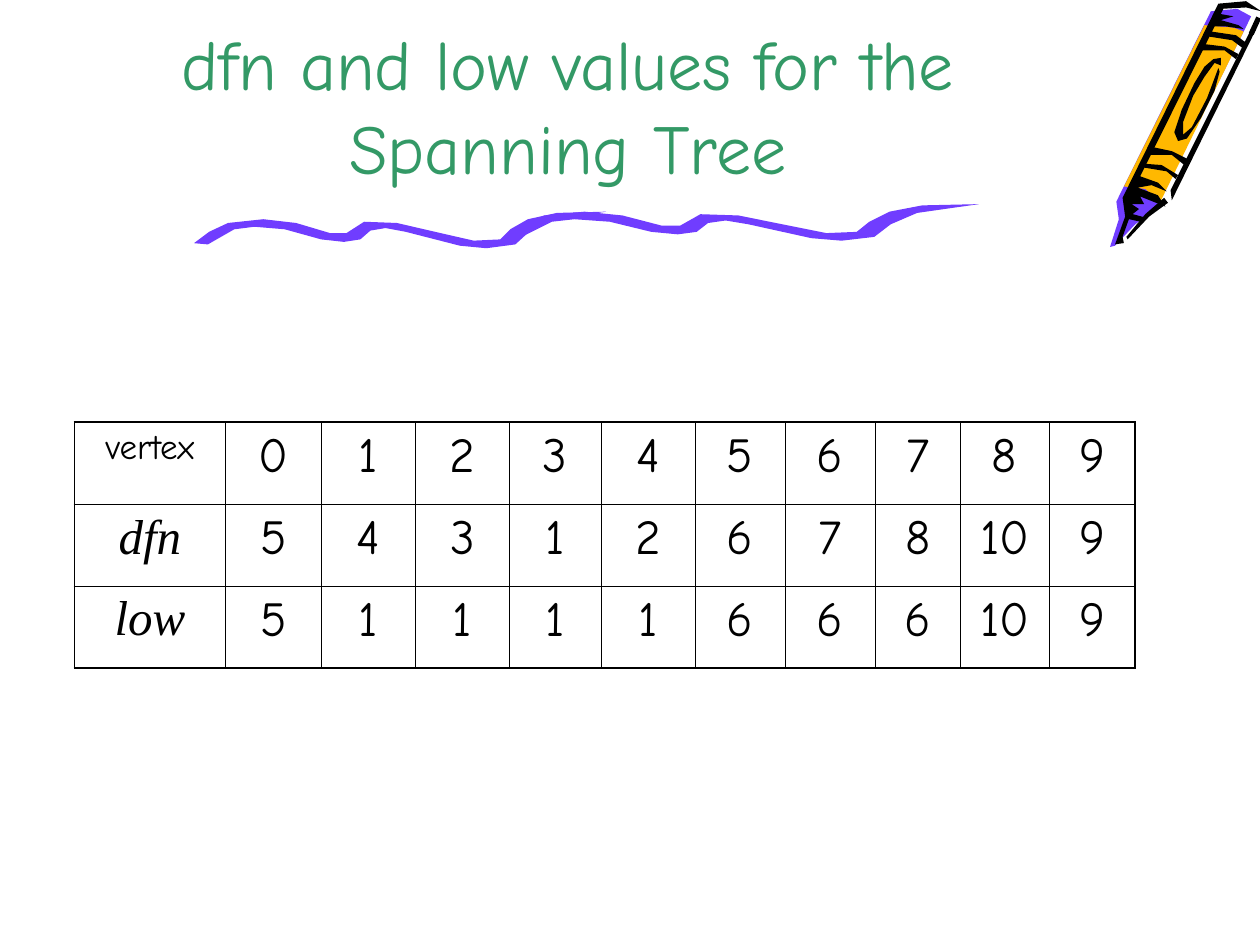
from lxml.etree import SubElement
from pptx import Presentation
from pptx.dml.color import RGBColor
from pptx.enum.shapes import MSO_CONNECTOR
from pptx.enum.text import MSO_ANCHOR, MSO_AUTO_SIZE, PP_ALIGN
from pptx.oxml import parse_xml
from pptx.oxml.ns import nsdecls, qn
from pptx.util import Pt

HEADING = "dfn and low values for the Spanning Tree"
VALUES = [
    ("vertex", 0, 1, 2, 3, 4, 5, 6, 7, 8, 9),
    ("dfn", 5, 4, 3, 1, 2, 6, 7, 8, 10, 9),
    ("low", 5, 1, 1, 1, 1, 6, 6, 6, 10, 9),
]
COLUMN_WIDTHS = [86.4, 54.7, 54, 53.3, 52.6, 54, 51.1, 51.8, 48.2, 51.1, 49]
ROW_HEIGHT = 46.8
THIN, THICK = 0.45, 1.08
BODY_FONT, LABEL_FONT = "Comic Neue", "Times New Roman"
BLACK, GREEN, PURPLE, ORANGE = "000000", "339966", "703DFF", "FFB800"

GRID = 0.72
CRAYON = [
    (PURPLE, [(993, 13), (917, 166), (901, 178), (885, 195), (881, 196), (888, 174),
              (886, 160), (961, 9), (982, 7)]),
    (ORANGE, [(921, 160), (909, 150), (892, 148), (956, 20), (979, 22), (987, 25)]),
    (BLACK, [(927, 161), (912, 172), (895, 190), (894, 188), (909, 170), (924, 157)]),
    (BLACK, [(987, 23), (973, 21), (961, 21), (968, 11), (979, 13), (969, 16), (983, 20)]),
    (BLACK, [(968, 57), (964, 72), (953, 94), (942, 110), (935, 112), (932, 105),
             (938, 87), (948, 66), (956, 53), (963, 47), (969, 46), (969, 52), (964, 50),
             (956, 61), (947, 76), (939, 97), (939, 107), (946, 101), (958, 78), (967, 54)]),
    (BLACK, [(997, 23), (930, 159), (929, 151), (993, 23)]),
    (BLACK, [(925, 164), (919, 155), (903, 149), (914, 147), (926, 152), (919, 145),
             (905, 140), (971, 7), (989, 6), (1001, 9), (989, 1), (967, 3), (891, 157),
             (893, 172), (885, 194), (892, 193), (891, 188), (896, 174), (905, 176),
             (910, 173), (899, 170), (904, 166), (898, 162), (908, 162), (905, 156)]),
    (BLACK, [(933, 142), (926, 136), (908, 133), (909, 130), (922, 131), (935, 139)]),
    (BLACK, [(940, 131), (930, 123), (913, 123), (916, 117), (930, 120), (942, 126)]),
    (BLACK, [(981, 47), (972, 40), (953, 40), (956, 35), (972, 37), (983, 43)]),
    (BLACK, [(986, 38), (978, 32), (959, 29), (961, 25), (981, 28), (989, 34)]),
]
CRAYON_EDGE = [(999, 14), (993, 27)]
WAVE = [
    (165, 194), (186, 182), (202, 180), (226, 182), (255, 190), (273, 192), (286, 190),
    (294, 183), (306, 181), (322, 184), (365, 195), (386, 197), (409, 194), (420, 184),
    (438, 175), (481, 168), (442, 169), (419, 174), (405, 182), (397, 190), (376, 191),
    (354, 186), (315, 177), (289, 176), (275, 185), (262, 185), (235, 177), (209, 174),
    (181, 177), (166, 184), (154, 193),
]
WAVE_LEFT = 154
WAVE_COPIES = [(154, 0, 1), (401, -6, 1.15)]


def color(hex_value):
    return RGBColor.from_string(hex_value)


def format_text(paragraph, font_name, size, hex_value, italic=False):
    paragraph.alignment = PP_ALIGN.CENTER
    for run in paragraph.runs:
        run.font.name = font_name
        run.font.size = Pt(size)
        run.font.italic = italic
        run.font.color.rgb = color(hex_value)


def draw_outline(group, points, hex_value):
    builder = group.shapes.build_freeform(*points[0], scale=Pt(GRID))
    builder.add_line_segments(points[1:], close=True)
    outline = builder.convert_to_shape()
    outline.shadow.inherit = False
    outline.fill.solid()
    outline.fill.fore_color.rgb = color(hex_value)
    outline.line.fill.background()


def draw_crayon(slide):
    crayon = slide.shapes.add_group_shape()
    for hex_value, points in CRAYON:
        draw_outline(crayon, points, hex_value)
    ends = [Pt(value * GRID) for point in CRAYON_EDGE for value in point]
    edge = crayon.shapes.add_connector(MSO_CONNECTOR.STRAIGHT, *ends)
    edge.line.color.rgb = color(BLACK)
    edge.line.width = Pt(3)
    SubElement(edge._element.spPr, qn("a:effectLst"))


def draw_waves(slide):
    waves = slide.shapes.add_group_shape()
    for left, drop, stretch in WAVE_COPIES:
        points = [(round(left + (x - WAVE_LEFT) * stretch), y + drop) for x, y in WAVE]
        draw_outline(waves, points, PURPLE)


def set_borders(cell, widths):
    properties = cell._tc.get_or_add_tcPr()
    for position, (side, width) in enumerate(widths.items()):
        properties.insert(position, parse_xml(
            f'<a:ln{side} {nsdecls("a")} w="{Pt(width)}"><a:solidFill>'
            f'<a:srgbClr val="{BLACK}"/></a:solidFill></a:ln{side}>'))


def add_values(slide):
    row_count, column_count = len(VALUES), len(COLUMN_WIDTHS)
    table = slide.shapes.add_table(
        row_count, column_count, Pt(42.5), Pt(241.2),
        Pt(sum(COLUMN_WIDTHS)), Pt(ROW_HEIGHT * row_count)).table
    table.first_row = table.horz_banding = False
    for column, width in zip(table.columns, COLUMN_WIDTHS):
        column.width = Pt(width)
    for r, entries in enumerate(VALUES):
        table.rows[r].height = Pt(ROW_HEIGHT)
        for c, entry in enumerate(entries):
            cell = table.cell(r, c)
            cell.text_frame.text = str(entry)
            is_label = c == 0 and r > 0
            format_text(cell.text_frame.paragraphs[0],
                        LABEL_FONT if is_label else BODY_FONT,
                        20 if entry == "vertex" else 28, BLACK, is_label)
            cell.fill.background()
            set_borders(cell, {
                "L": THICK if c == 0 else THIN,
                "R": THICK if c == column_count - 1 else THIN,
                "T": THICK if r == 0 else THIN,
                "B": THICK if r == row_count - 1 else THIN,
            })


def add_heading(slide):
    heading = slide.shapes.title
    heading.left, heading.top, heading.width, heading.height = (
        Pt(54), Pt(0), Pt(540.7), Pt(111.6))
    frame = heading.text_frame
    frame.text = HEADING
    frame.word_wrap = True
    frame.auto_size = MSO_AUTO_SIZE.NONE
    frame.vertical_anchor = MSO_ANCHOR.BOTTOM
    format_text(frame.paragraphs[0], BODY_FONT, 40, GREEN)


def main():
    presentation = Presentation()
    presentation.slide_width, presentation.slide_height = Pt(720), Pt(540)
    slide = presentation.slides.add_slide(presentation.slide_layouts[5])
    draw_crayon(slide)
    draw_waves(slide)
    add_heading(slide)
    add_values(slide)
    presentation.save("out.pptx")


if __name__ == "__main__":
    main()
